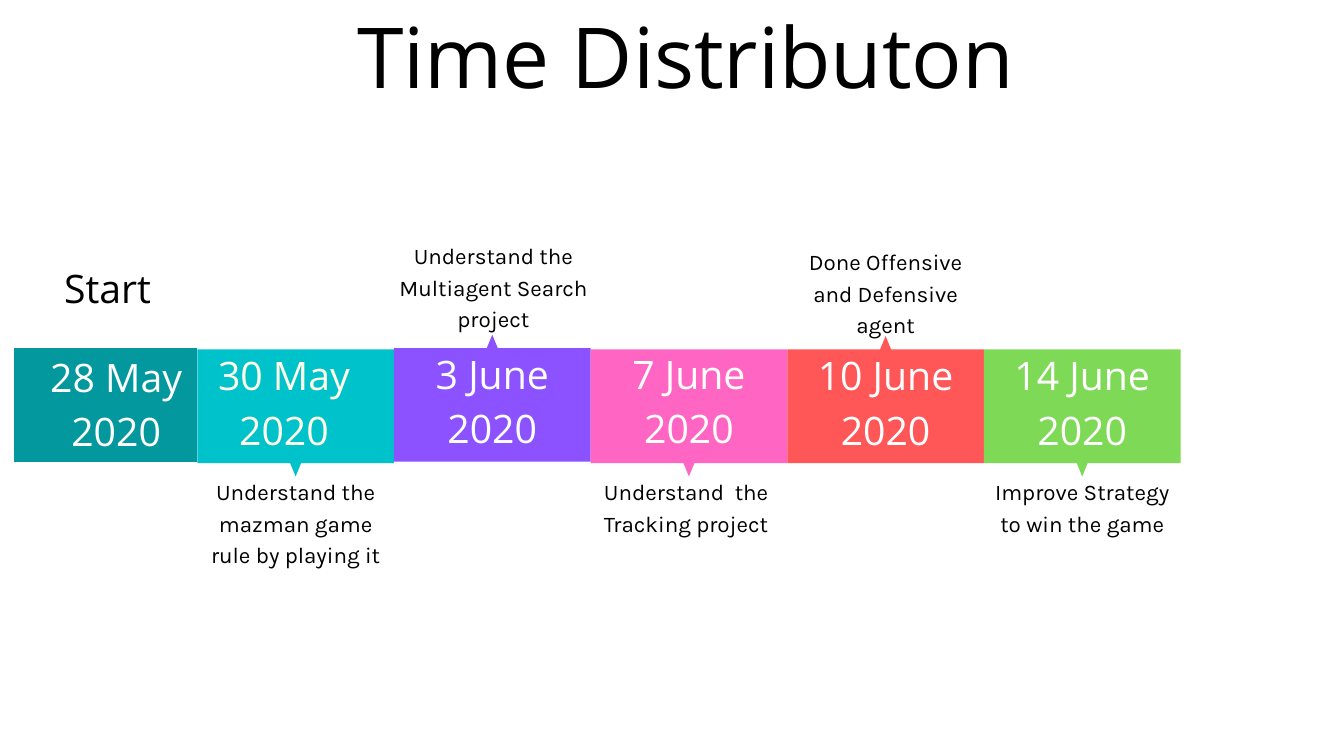
from collections import namedtuple

from pptx import Presentation
from pptx import util as u
from pptx.dml.color import RGBColor
from pptx.enum import text

Box = namedtuple("Box", "left top width height")
Milestone = namedtuple(
    "Milestone", "date color date_color date_top date_width top points_up note note_box")

HEADING_FONT, NOTE_FONT = "Open Sans", "Karla"
BANNER_LEFT, BANNER_WIDTH, BANNER_HEIGHT = 211.4, 210.7, 121.7
POINTER_HALF_WIDTH, POINTER_HEIGHT = 5.9, 14.4
NOTE_TOP = 507.8

# Note boxes are (offset from the banner's left, top, width, height).
MILESTONES = [
    Milestone("30 May 2020", "00C2CB", "FFFEE6", 367.9, 185.8, 374.4, False,
              "Understand the mazman game rule by playing it", (0, NOTE_TOP, 210.7, 97.2)),
    Milestone("3 June 2020", "8C52FF", "FFFFFF", 366.5, 210.7, 373, True,
              "Understand the Multiagent Search project", (-17.3, 254.9, 247.7, 97.2)),
    Milestone("7 June 2020", "FF66C4", "FFFFFF", 366.5, 210.7, 374.4, False,
              "Understand  the Tracking project", (-10, NOTE_TOP, 224.6, 64.1)),
    Milestone("10 June 2020", "FF5757", "FFFFFF", 367.9, 210.7, 374.4, True,
              "Done Offensive and Defensive agent", (0, 261.4, 210.7, 97.2)),
    Milestone("14 June 2020", "7ED957", "FFFFFF", 367.9, 210.7, 374.4, False,
              "Improve Strategy to win the game", (0, NOTE_TOP, 210.7, 64.1)),
]


def rgb(color):
    return RGBColor.from_string(color)


def add_text(slide, box, wording, font, size, line_spacing, color):
    shape = slide.shapes.add_textbox(*(u.Pt(length) for length in box))
    frame = shape.text_frame
    frame.margin_left = frame.margin_top = frame.margin_right = frame.margin_bottom = 0
    frame.word_wrap = True
    frame.text = wording
    paragraph = frame.paragraphs[0]
    paragraph.alignment = text.PP_ALIGN.CENTER
    paragraph.line_spacing = u.Pt(line_spacing)
    run_font = paragraph.runs[0].font
    run_font.name, run_font.size = font, u.Pt(size)
    run_font.color.rgb = rgb(color)


def add_date(slide, box, wording, color):
    add_text(slide, box, wording, HEADING_FONT, 42, 58.8, color)


def add_outline(slide, points, color):
    (start_x, start_y), *others = [(u.Pt(x), u.Pt(y)) for x, y in points]
    builder = slide.shapes.build_freeform(start_x, start_y)
    builder.add_line_segments(others, close=True)
    shape = builder.convert_to_shape()
    shape.shadow.inherit = False
    shape.fill.solid()
    shape.fill.fore_color.rgb = rgb(color)
    shape.line.fill.background()


def add_banner(slide, box, color, points_up):
    """Draw a rectangle with a small pointer in the middle of one edge."""
    right, middle = box.left + box.width, box.left + box.width / 2
    bottom = box.top + box.height
    edge, far, tip = ((box.top, bottom, box.top - POINTER_HEIGHT) if points_up
                      else (bottom, box.top, bottom + POINTER_HEIGHT))
    add_outline(slide, [(box.left, far), (box.left, edge),
                        (middle - POINTER_HALF_WIDTH, edge), (middle, tip),
                        (middle + POINTER_HALF_WIDTH, edge),
                        (right, edge), (right, far)], color)


def add_start(slide, box):
    # First block of the timeline, with its label above
    right, bottom = box.left + box.width, box.top + box.height
    add_outline(slide, [(box.left, box.top), (right, box.top),
                        (right, bottom), (box.left, bottom)], "03989E")
    add_date(slide, Box(box.left + 22.3, box.top - 2.9, 174.2, 114.5), "28 May 2020", "FFFFFF")
    add_date(slide, Box(box.left, box.top - 98.2, 200.2, 56.2), "Start", "000000")


def add_milestone(slide, box, milestone):
    # Banner, date inside it and note beyond its pointer
    add_banner(slide, box, milestone.color, milestone.points_up)
    add_date(slide, Box(box.left, milestone.date_top, milestone.date_width, 114.5),
             milestone.date, milestone.date_color)
    offset, top, width, height = milestone.note_box
    add_text(slide, Box(box.left + offset, top, width, height),
             milestone.note, NOTE_FONT, 24, 33.6, "000000")


def add_title(slide, box):
    add_text(slide, box, "Time Distributon", HEADING_FONT, 90, 126, "000000")


def main():
    presentation = Presentation()
    presentation.slide_width, presentation.slide_height = u.Pt(1440), u.Pt(810)
    slide = presentation.slides.add_slide(presentation.slide_layouts[6])

    add_title(slide, Box(330.7, -13, 808.6, 121))
    add_start(slide, Box(15.1, 372.5, 196.4, 122.6))
    for index, milestone in enumerate(MILESTONES):
        box = Box(BANNER_LEFT + index * BANNER_WIDTH, milestone.top, BANNER_WIDTH, BANNER_HEIGHT)
        add_milestone(slide, box, milestone)

    presentation.save("out.pptx")


if __name__ == "__main__":
    main()
